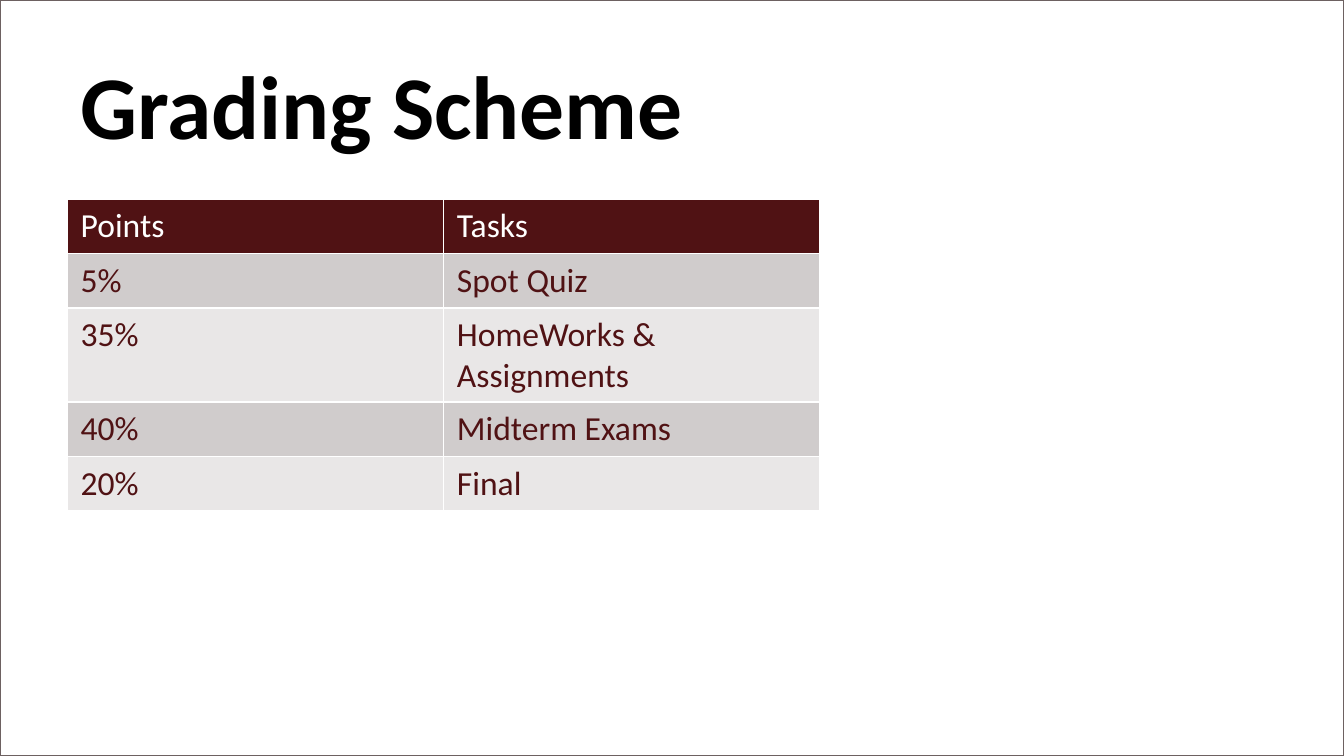
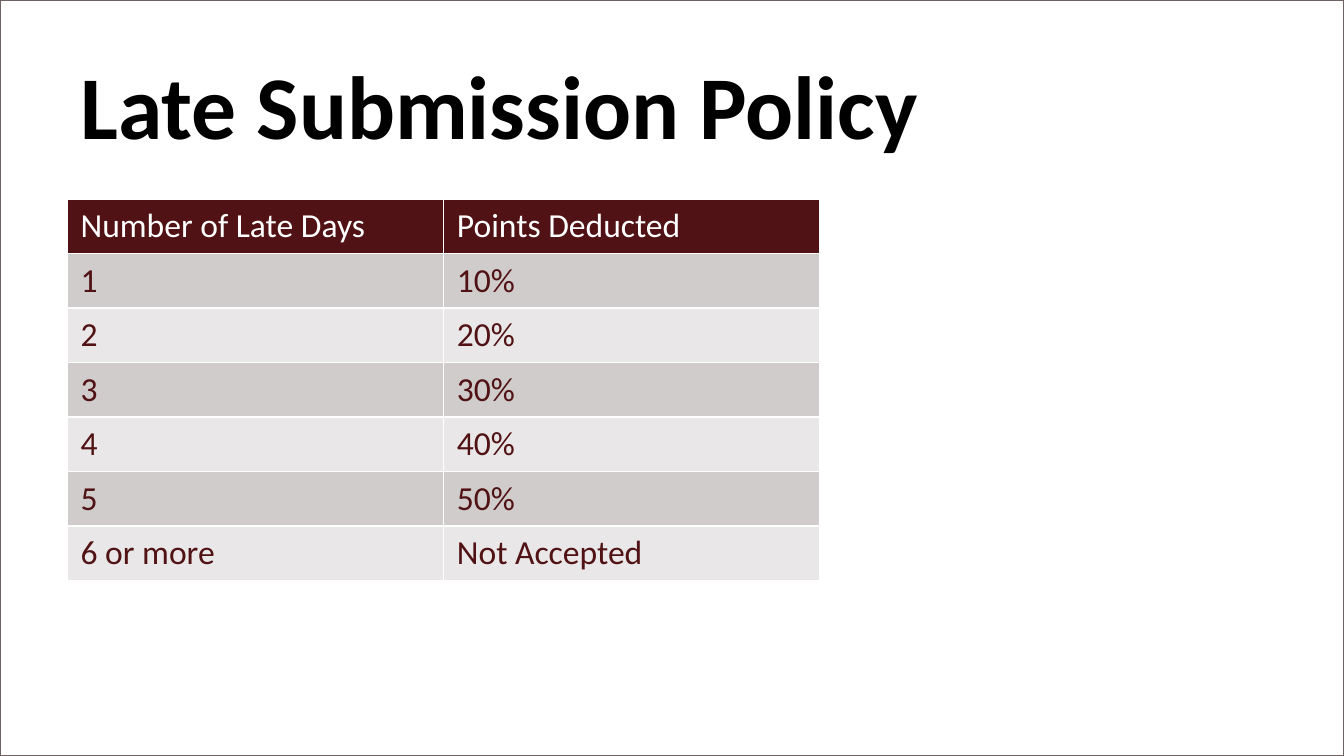
"""Build two course slides, each with a title and a two-column table."""
from pptx import Presentation
from pptx.dml.color import RGBColor
from pptx.enum.shapes import MSO_SHAPE
from pptx.enum.text import MSO_ANCHOR
from pptx.util import Inches, Pt

COLORS = {
    "paper": "FFFFFF",
    "frame": "6D6161",
    "title": "000000",
    "maroon": "501214",
    "dark": "D0CCCC",
    "light": "E9E7E7",
}
FONT = "Calibri"
WIDTH = 10
HEIGHT = WIDTH * 9 / 16
LEFT = 0.5
COLUMN, ROW = 2.8, 2.84 / 7

GRADES = [
    ("Points", "Tasks"),
    ("5%", "Spot Quiz"),
    ("35%", "HomeWorks & Assignments"),
    ("40%", "Midterm Exams"),
    ("20%", "Final"),
]
LATE = [
    ("Number of Late Days", "Points Deducted"),
    *((str(day), f"{day * 10}%") for day in range(1, 6)),
    ("6 or more", "Not Accepted"),
]


class Deck:
    def __init__(self):
        self.show = Presentation()
        self.show.slide_width = Inches(WIDTH)
        self.show.slide_height = Inches(HEIGHT)
        self.slide = None

    def color(self, name):
        return RGBColor.from_string(COLORS[name])

    def paint(self, fill, name):
        fill.solid()
        fill.fore_color.rgb = self.color(name)

    def style(self, frame, size, name, bold=False):
        for run in frame.paragraphs[0].runs:
            run.font.name = FONT
            run.font.size = Pt(size)
            run.font.bold = bold
            run.font.color.rgb = self.color(name)

    def page(self, text, rows):
        self.slide = self.show.slides.add_slide(self.show.slide_layouts[6])
        self.frame()
        self.title(text)
        self.table(rows)

    def frame(self):
        box = self.slide.shapes.add_shape(
            MSO_SHAPE.RECTANGLE, 0, 0, Inches(WIDTH), Inches(HEIGHT))
        box.shadow.inherit = False
        self.paint(box.fill, "paper")
        box.line.color.rgb = self.color("frame")
        box.line.width = Pt(1)

    def title(self, text):
        box = self.slide.shapes.add_textbox(
            Inches(LEFT), Inches(0.31), Inches(WIDTH - 2 * LEFT), Inches(0.87))
        frame = box.text_frame
        frame.word_wrap = True
        frame.vertical_anchor = MSO_ANCHOR.TOP
        frame.margin_top = Inches(0.06)
        frame.text = text
        self.style(frame, 48, "title", bold=True)

    def table(self, rows):
        count = len(rows[0])
        grid = self.slide.shapes.add_table(
            len(rows), count, Inches(LEFT), Inches(1.48),
            Inches(COLUMN * count), Inches(ROW * len(rows))).table
        for column in grid.columns:
            column.width = Inches(COLUMN)
        for i, texts in enumerate(rows):
            grid.rows[i].height = Inches(ROW)
            head = i == 0
            back = "maroon" if head else ("light", "dark")[i % 2]
            for j, text in enumerate(texts):
                cell = grid.cell(i, j)
                cell.text_frame.text = text
                self.style(cell.text_frame, 18, "paper" if head else "maroon")
                self.paint(cell.fill, back)


def main():
    deck = Deck()
    deck.page("Grading Scheme", GRADES)
    deck.page("Late Submission Policy", LATE)
    deck.show.save("out.pptx")


if __name__ == "__main__":
    main()
